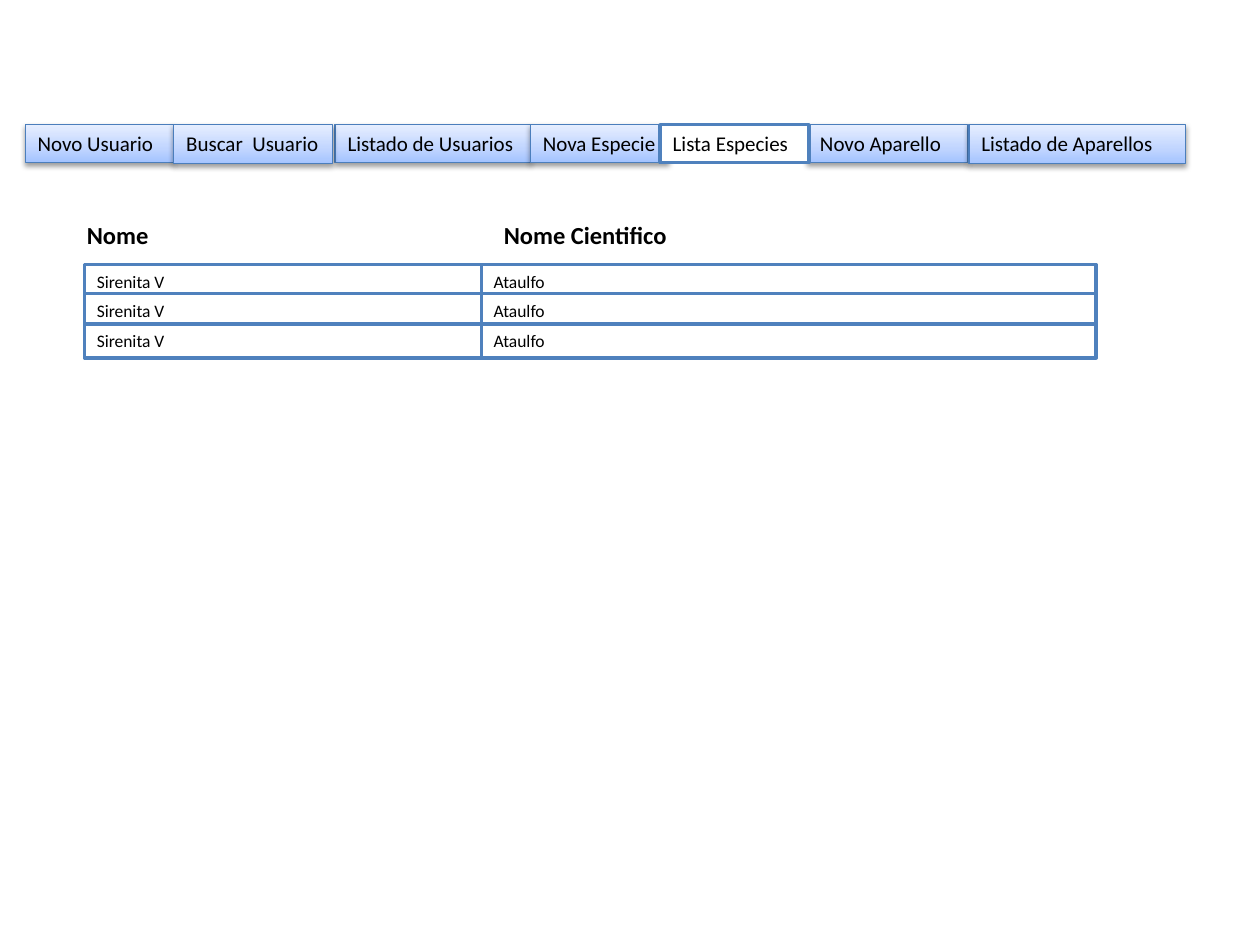
import copy
from dataclasses import dataclass

import pptx
import pptx.dml.color
import pptx.enum.shapes
import pptx.enum.text
import pptx.oxml
import pptx.oxml.ns
import pptx.util
from pptx.util import Inches


@dataclass(frozen=True)
class Theme:
    font: str = "Calibri"
    text: str = "000000"
    paper: str = "FFFFFF"
    border: str = "4F81BD"
    tab_line: str = "4B7EBC"
    tab_stops: tuple = ((0, "A4C4FF"), (0.35, "BFD4FF"), (1, "E6EEFF"))
    heading_size: int = 14
    tab_size: int = 12
    cell_size: int = 10
    border_width: float = 2
    tab_line_width: float = 0.75


THEME = Theme()

# Tab label, left, width and height in inches
TABS = [
    ("Novo Usuario", 0.2, 1.18, 0.3),
    ("Listado de Usuarios", 2.66, 1.55, 0.3),
    ("Novo Aparello", 6.41, 1.27, 0.3),
    ("Listado de Aparellos", 7.69, 1.72, 0.31),
    ("Buscar  Usuario", 1.38, 1.26, 0.31),
    ("Nova Especie", 4.21, 1.1, 0.3),
    ("Lista Especies", 5.24, 1.18, 0.3),
]
ACTIVE_TAB = "Lista Especies"
# Heading or column text, offset from the region's left, and width
HEADINGS = [("Nome", 0, 2.52), ("Nome Cientifico", 3.31, 1.97)]
COLUMNS = [(0, 3.15), (3.15, 4.88)]
SPECIES = [("Sirenita V", "Ataulfo")] * 3
ROW_OFFSETS = [0, 0.23, 0.47]
ROW_HEIGHT = 0.27


def rgb(value):
    return pptx.dml.color.RGBColor.from_string(value)


def write(tf, text, size, bold=False):
    tf.word_wrap = True
    tf.vertical_anchor = pptx.enum.text.MSO_ANCHOR.TOP
    p = tf.paragraphs[0]
    p.alignment = pptx.enum.text.PP_ALIGN.LEFT
    r = p.add_run()
    r.text = text
    r.font.name = THEME.font
    r.font.size = pptx.util.Pt(size)
    r.font.bold = bold
    r.font.color.rgb = rgb(THEME.text)


def add_box(slide, text, left, top, width, height, size,
            line=THEME.border, line_width=THEME.border_width, bold=False):
    sp = slide.shapes.add_shape(
        pptx.enum.shapes.MSO_SHAPE.RECTANGLE, left, top, width, height)
    sp.shadow.inherit = False
    sp.fill.solid()
    sp.fill.fore_color.rgb = rgb(THEME.paper)
    sp.line.color.rgb = rgb(line)
    sp.line.width = pptx.util.Pt(line_width)
    write(sp.text_frame, text, size, bold)
    return sp


def fill_gradient(sp):
    fill = sp.fill
    fill.gradient()
    fill.gradient_angle = 90
    stops = sp._element.spPr.find(".//" + pptx.oxml.ns.qn("a:gsLst"))
    stops.append(copy.deepcopy(stops[0]))
    for stop, (position, color) in zip(fill.gradient_stops, THEME.tab_stops):
        stop.position = position
        stop.color.rgb = rgb(color)


def add_shadow(sp):
    effects = sp._element.spPr.find(pptx.oxml.ns.qn("a:effectLst"))
    effects.append(pptx.oxml.parse_xml(
        f'<a:outerShdw {pptx.oxml.ns.nsdecls("a")} blurRad="{pptx.util.Pt(3.1)}" '
        f'dist="{pptx.util.Pt(1.6)}" dir="5400000" rotWithShape="0">'
        '<a:srgbClr val="000000"><a:alpha val="38000"/></a:srgbClr></a:outerShdw>'))


def add_navigation(slide, left, top):
    for text, offset, width, height in TABS:
        box = (left + Inches(offset), top, Inches(width), Inches(height))
        if text == ACTIVE_TAB:
            sp = add_box(slide, text, *box, THEME.tab_size)
        else:
            sp = add_box(slide, text, *box, THEME.tab_size,
                         line=THEME.tab_line, line_width=THEME.tab_line_width)
            fill_gradient(sp)
            add_shadow(sp)
        sp.text_frame.margin_right = 0


def add_headings(slide, left, top, height):
    for text, offset, width in HEADINGS:
        add_box(slide, text, left + Inches(offset), top, Inches(width), height,
                THEME.heading_size, line=THEME.paper, bold=True)


def add_species_fields(slide, left, top):
    for row_offset, values in zip(ROW_OFFSETS, SPECIES):
        # The right field lies behind the left one
        for text, (offset, width) in reversed(list(zip(values, COLUMNS))):
            add_box(slide, text, left + Inches(offset), top + Inches(row_offset),
                    Inches(width), Inches(ROW_HEIGHT), THEME.cell_size)


def main():
    prs = pptx.Presentation()
    prs.slide_width, prs.slide_height = Inches(10), Inches(7.5)
    slide = prs.slides.add_slide(prs.slide_layouts[6])
    # Species list: headings above overlapping fields
    add_headings(slide, Inches(0.59), Inches(1.7), Inches(0.34))
    add_species_fields(slide, Inches(0.67), Inches(2.1))
    # Navigation tabs, the active one in front
    add_navigation(slide, Inches(0), Inches(0.99))
    prs.save("out.pptx")


if __name__ == "__main__":
    main()
